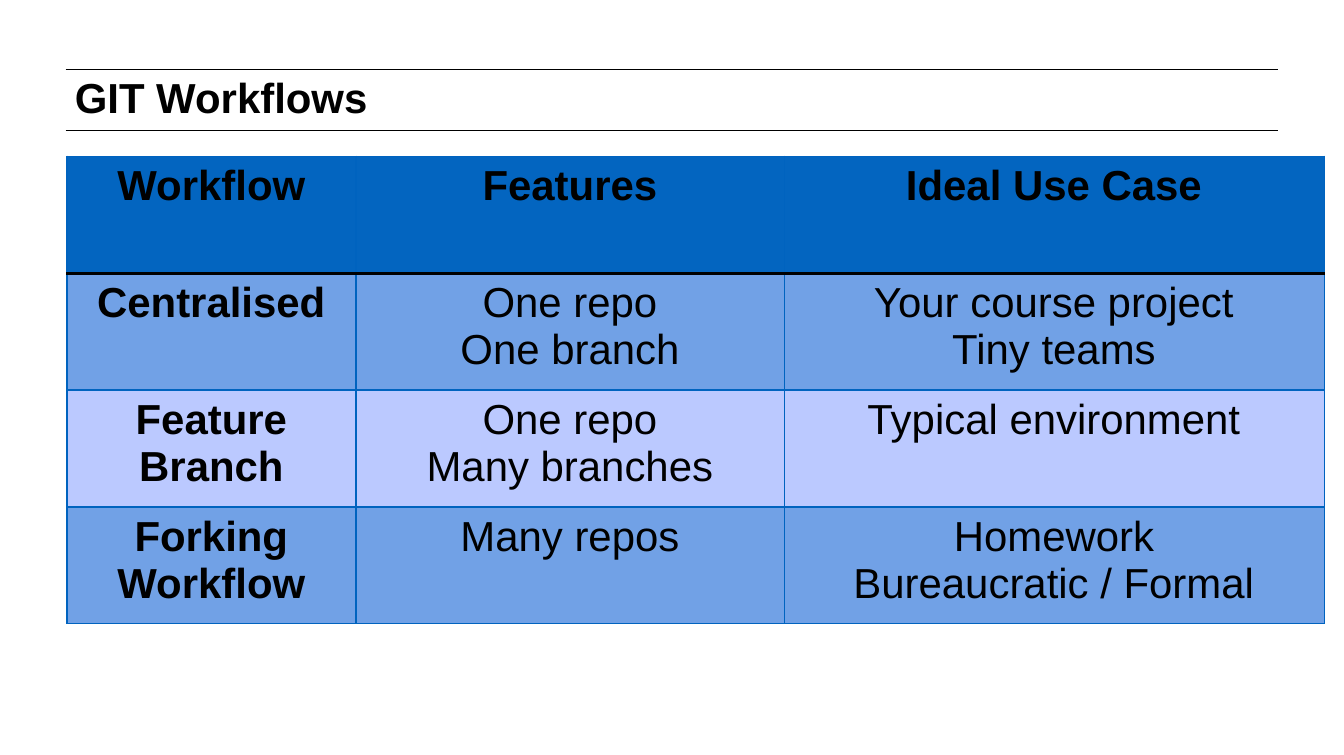
from lxml.etree import SubElement as Sub
from pptx import Presentation
from pptx.dml.color import RGBColor as RGB
from pptx.enum.shapes import MSO_CONNECTOR as CONN
from pptx.enum.text import MSO_ANCHOR as ANCHOR, MSO_AUTO_SIZE as FIT, PP_ALIGN as ALIGN
from pptx.oxml.ns import qn
from pptx.util import Pt

TITLE = "GIT Workflows"
ROWS = [
    ("Workflow", "Features", "Ideal Use Case"),
    ("Centralised", "One repo\nOne branch", "Your course project\nTiny teams"),
    ("Feature Branch", "One repo\nMany branches", "Typical environment"),
    ("Forking Workflow", "Many repos", "Homework\nBureaucratic / Formal"),
]
FILLS = ["0365C0", "71A1E6", "BBC9FF", "71A1E6"]
WIDTHS = [158.6, 234.9, 296.2]
HIGH = 64.1
LEFT, TOP = 36.7, 85.7
RULES = [38.2, 71.3]
BLACK, EDGE = "000000", "0063BF"


def color(code):
    return RGB.from_string(code)


def write(frame, text, bold=False, align=ALIGN.LEFT, gap=None):
    frame.text = text
    for para in frame.paragraphs:
        para.alignment = align
        para.line_spacing = gap
        font = para.font
        font.name, font.size, font.bold = "Arial", Pt(23), bold
        font.color.rgb = color(BLACK)


def border(cell, side, code, width):
    line = Sub(cell._tc.get_or_add_tcPr(), qn(f"a:ln{side}"), w=str(Pt(width)))
    Sub(Sub(line, qn("a:solidFill")), qn("a:srgbClr"), val=code)


def rule(slide, y):
    line = slide.shapes.add_connector(CONN.STRAIGHT, Pt(36), Pt(y), Pt(701.3), Pt(y))
    line.line.color.rgb = color(BLACK)
    line.line.width = Pt(0.5)
    Sub(line._element.spPr, qn("a:effectLst"))


def head(slide):
    title = slide.shapes.title
    title.left, title.top, title.width, title.height = Pt(36.7), Pt(39.6), Pt(620), Pt(80)
    frame = title.text_frame
    frame.margin_left = frame.margin_right = Pt(4.3)
    frame.margin_top = frame.margin_bottom = Pt(4.3)
    frame.vertical_anchor = ANCHOR.TOP
    frame.auto_size = FIT.NONE
    frame.word_wrap = True
    write(frame, TITLE, bold=True, gap=Pt(23))


def grid(slide):
    table = slide.shapes.add_table(
        len(ROWS), len(WIDTHS), Pt(LEFT), Pt(TOP), Pt(sum(WIDTHS)), Pt(HIGH * len(ROWS))
    ).table
    for col, width in zip(table.columns, WIDTHS):
        col.width = Pt(width)
    for r, row in enumerate(ROWS):
        table.rows[r].height = Pt(HIGH)
        for c, text in enumerate(row):
            cell = table.cell(r, c)
            write(cell.text_frame, text, bold=r == 0 or c == 0, align=ALIGN.CENTER)
            for side in "LRTB":
                thick = (r, side) in ((0, "B"), (1, "T"))
                border(cell, side, *((BLACK, 2) if thick else (EDGE, 0.75)))
            cell.fill.solid()
            cell.fill.fore_color.rgb = color(FILLS[r])


def main():
    deck = Presentation()
    deck.slide_width, deck.slide_height = Pt(737.28), Pt(414)
    slide = deck.slides.add_slide(deck.slide_layouts[5])
    for y in RULES:
        rule(slide, y)
    head(slide)
    grid(slide)
    deck.save("out.pptx")


if __name__ == "__main__":
    main()
